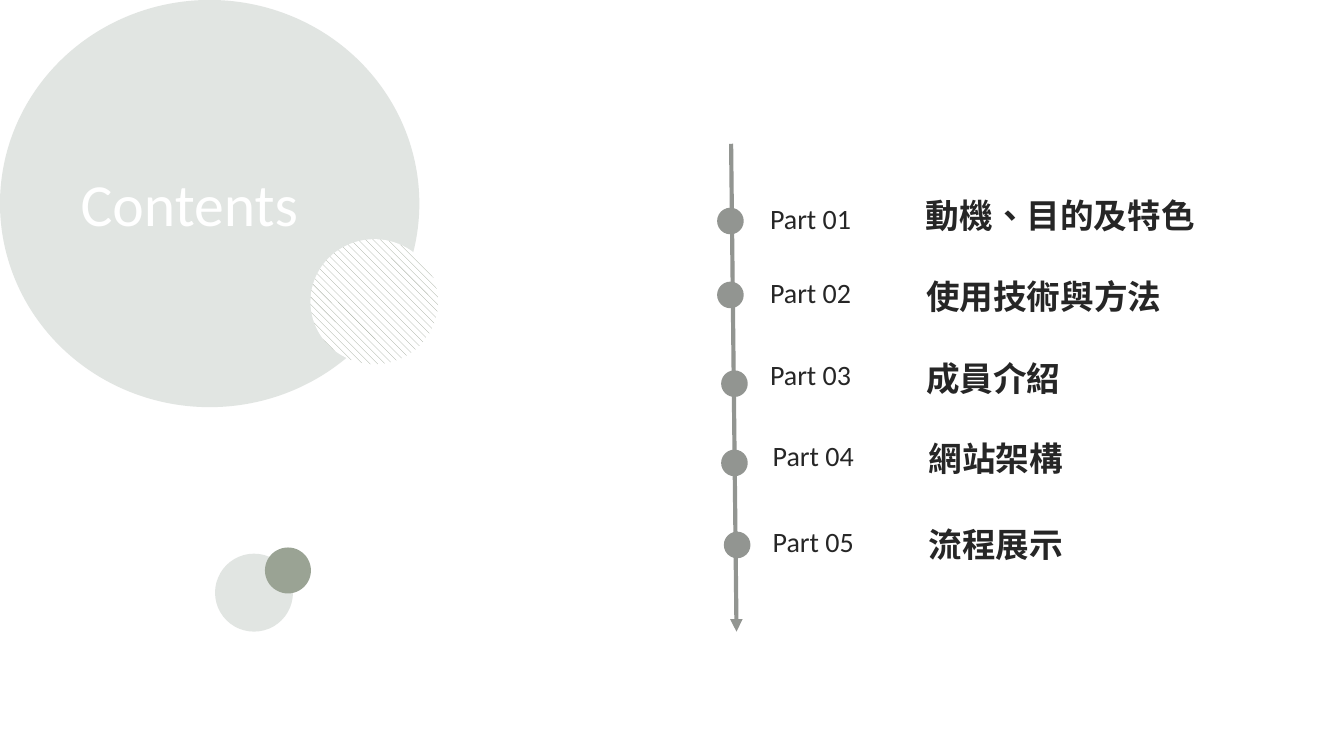
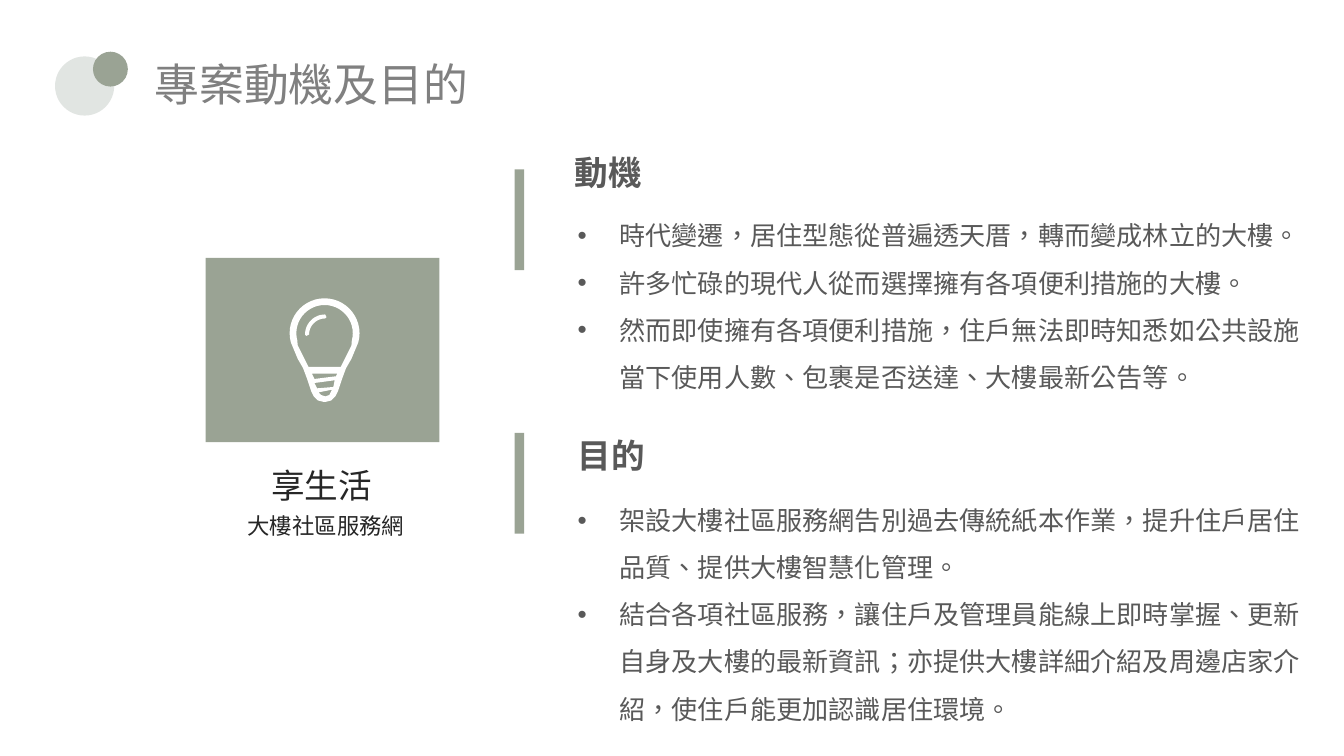
from math import cos, radians, sin

from lxml.etree import SubElement
from pptx import Presentation
from pptx.dml.color import RGBColor
from pptx.enum.dml import MSO_PATTERN
from pptx.enum.shapes import MSO_CONNECTOR, MSO_SHAPE
from pptx.enum.text import MSO_AUTO_SIZE, PP_ALIGN
from pptx.oxml.ns import qn
from pptx.util import Inches, Pt

SLIDE_WIDTH = 10
SLIDE_HEIGHT = SLIDE_WIDTH * 9 / 16
COLORS = {
    "paper": "FFFFFF", "mist": "E1E5E2", "sage": "9AA394", "timeline": "929591",
    "ink": "262626", "title": "808080", "body": "595959",
}
LATIN, CHINESE = "Calibri", "Noto Sans CJK SC"
LANGUAGE = "zh-TW"
TIGHT, ROOMY = (0.07, 0.04), (0.1, 0.05)

# label, label left, label width, label top, heading, heading width, heading top, dot left, dot top
PARTS = [
    ("Part 01", 5.66, 0.96, 1.46, "動機、目的及特色", 2.76, 1.41, 5.35, 1.56),
    ("Part 02", 5.66, 1.14, 2.01, "使用技術與方法", 2.45, 2.01, 5.35, 2.11),
    ("Part 03", 5.66, 1.07, 2.62, "成員介紹", 1.42, 2.62, 5.38, 2.77),
    ("Part 04", 5.68, 1.07, 3.22, "網站架構", 1.41, 3.22, 5.38, 3.36),
    ("Part 05", 5.68, 1.07, 3.86, "流程展示", 1.42, 3.86, 5.4, 3.97),
]
LABEL_TO_HEADING = 1.16
DOT = 0.17

# heading, heading box, bullets, bullet box, top of the bar
SECTIONS = [
    ("動機", (4.18, 1.08, 1.24, 0.4), [
        "時代變遷，居住型態從普遍透天厝，轉而變成林立的大樓。",
        "許多忙碌的現代人從而選擇擁有各項便利措施的大樓。",
        "然而即使擁有各項便利措施，住戶無法即時知悉如公共設施當下使用人數、包裹是否送達、大樓最新公告等。",
    ], (4.2, 1.47, 5.6, 1.51), 1.26),
    ("目的", (4.2, 3.19, 1.26, 0.4), [
        "架設大樓社區服務網告別過去傳統紙本作業，提升住戶居住品質、提供大樓智慧化管理。",
        "結合各項社區服務，讓住戶及管理員能線上即時掌握、更新自身及大樓的最新資訊；"
        "亦提供大樓詳細介紹及周邊店家介紹，使住戶能更加認識居住環境。",
    ], (4.2, 3.59, 5.6, 2.27), 3.22),
]

BULB_AXIS = 2.415
# right half of the bulb below its round head, as distance from the axis and height
BULB_NECK = [(0.2, 2.67), (0.16, 2.74), (0.13, 2.82), (0.1, 2.91), (0.08, 2.95),
             (0.05, 2.98), (0.01, 2.99)]
GLASS_NECK = [(0.2, 2.57), (0.15, 2.67), (0.12, 2.73)]
SCREW_GAPS = [
    [(2.32, 2.78), (2.51, 2.78), (2.5, 2.8), (2.34, 2.82)],
    [(2.34, 2.85), (2.49, 2.83), (2.48, 2.88), (2.36, 2.89)],
    [(2.37, 2.92), (2.47, 2.9), (2.45, 2.94), (2.42, 2.95), (2.39, 2.94)],
]


def color(name):
    return RGBColor.from_string(COLORS[name])


def inches(values):
    return [Inches(value) for value in values]


def add_text(slide, box, text, *, size, fill, font=CHINESE, bold=False, align=None,
             insets=ROOMY, wrap=True, bullets=False):
    """Add a text box; text is one string or a list with one string per paragraph."""
    frame = slide.shapes.add_textbox(*inches(box)).text_frame
    frame.word_wrap = wrap
    frame.auto_size = MSO_AUTO_SIZE.SHAPE_TO_FIT_TEXT
    frame.margin_left = frame.margin_right = Inches(insets[0])
    frame.margin_top = frame.margin_bottom = Inches(insets[1])
    lines = [text] if isinstance(text, str) else text
    for index, line in enumerate(lines):
        paragraph = frame.add_paragraph() if index else frame.paragraphs[0]
        paragraph.alignment = align
        if bullets:
            add_bullet(paragraph)
        run = paragraph.add_run()
        run.text = line
        run.font.size, run.font.bold, run.font.name = Pt(size), bold, font
        run.font.color.rgb = color(fill)
        run.font._element.set("lang", LANGUAGE)
        SubElement(run.font._element, qn("a:ea"), typeface=CHINESE)


def add_bullet(paragraph, indent=0.31):
    paragraph.line_spacing = 1.5
    properties = paragraph._p.get_or_add_pPr()
    properties.set("marL", str(Inches(indent)))
    properties.set("indent", str(-Inches(indent)))
    SubElement(properties, qn("a:buFont"), typeface="Arial")
    SubElement(properties, qn("a:buChar"), char="•")


def paint(shape, fill, line=None):
    shape.shadow.inherit = False
    shape.fill.solid()
    shape.fill.fore_color.rgb = color(fill)
    if line:
        shape.line.color.rgb = color(fill)
        shape.line.width = Pt(line)
    else:
        shape.line.fill.background()
    return shape


def add_shape(shapes, kind, box, fill, line=None):
    return paint(shapes.add_shape(kind, *inches(box)), fill, line)


def add_circle_pair(slide, left, top, size):
    """Add a pale circle with a small dark one over its upper right."""
    shapes = slide.shapes.add_group_shape().shapes
    add_shape(shapes, MSO_SHAPE.OVAL, (left, top, size, size), "mist")
    small = 0.59 * size
    add_shape(shapes, MSO_SHAPE.OVAL,
              (left + 0.64 * size, top - 0.08 * size, small, small), "sage")


def arc(center, radius, start, end, step=7.5):
    count = round((end - start) / step)
    angles = [radians(start + index * step) for index in range(count + 1)]
    return [(center[0] + radius * cos(angle), center[1] + radius * sin(angle))
            for angle in angles]


def mirrored(half):
    """Close a right half, given from the axis, with its reflection."""
    return ([(BULB_AXIS + x, y) for x, y in half]
            + [(BULB_AXIS - x, y) for x, y in reversed(half)])


def add_outline(shapes, contours, fill):
    builder = None
    for contour in contours:
        points = [inches(point) for point in contour]
        if builder is None:
            builder = shapes.build_freeform(*points[0], scale=1.0)
        else:
            builder.move_to(*points[0])
        builder.add_line_segments(points[1:], close=True)
    paint(builder.convert_to_shape(), fill)


def add_bulb(slide):
    shapes = slide.shapes.add_group_shape().shapes
    body = mirrored(arc((0, 2.48), 0.26, -90, 15) + BULB_NECK)
    glass = mirrored(arc((0, 2.48), 0.21, -90, 15) + GLASS_NECK)
    add_outline(shapes, [body, glass, *SCREW_GAPS], "paper")
    center = (2.42, 2.49)
    shine = arc(center, 0.15, 180, 270) + [(2.43, 2.36)]
    shine += arc(center, 0.12, 180, 270)[::-1] + [(2.28, 2.5)]
    add_outline(shapes, [shine], "paper")


def add_timeline(slide):
    """Add the arrow and its dots; the last dot stands outside the group."""
    shapes = slide.shapes.add_group_shape().shapes
    axis = shapes.add_connector(MSO_CONNECTOR.STRAIGHT, *inches((5.44, 1.07, 5.48, 4.7)))
    axis.line.color.rgb = color("timeline")
    axis.line.width = Pt(2.25)
    SubElement(axis.line._get_or_add_ln(), qn("a:tailEnd"), type="triangle")
    SubElement(axis._element.spPr, qn("a:effectLst"))
    for *_, left, top in PARTS:
        owner = slide.shapes if top == PARTS[-1][-1] else shapes
        add_shape(owner, MSO_SHAPE.OVAL, (left, top, DOT, DOT), "timeline", line=2)


def build_contents(slide):
    add_circle_pair(slide, 1.6, 4.12, 0.58)
    add_shape(slide.shapes, MSO_SHAPE.OVAL, (0, 0, 3.12, 3.03), "mist")
    add_text(slide, (0.53, 1.2, 2.1, 0.62), "Contents", size=32, fill="paper",
             font=LATIN, insets=TIGHT)
    for label, left, width, top, heading, heading_width, heading_top, *_ in PARTS:
        add_text(slide, (left, top, width, 0.33), label, size=15, fill="ink",
                 font=LATIN, insets=TIGHT)
        add_text(slide, (left + LABEL_TO_HEADING, heading_top, heading_width, 0.38),
                 heading, size=18, fill="ink", bold=True, align=PP_ALIGN.JUSTIFY,
                 insets=TIGHT)
    add_timeline(slide)
    hatched = add_shape(slide.shapes, MSO_SHAPE.OVAL, (2.31, 1.78, 0.95, 0.93), "paper")
    hatched.fill.patterned()
    hatched.fill.pattern = MSO_PATTERN.WIDE_DOWNWARD_DIAGONAL
    hatched.fill.fore_color.rgb = color("sage")
    hatched.fill.back_color.rgb = color("paper")


def build_motivation(slide):
    add_text(slide, (1.08, 0.38, 2.51, 0.48), "專案動機及目的", size=24, fill="title",
             insets=TIGHT, wrap=False)
    add_circle_pair(slide, 0.41, 0.42, 0.44)
    add_shape(slide.shapes, MSO_SHAPE.RECTANGLE, (1.53, 1.92, 1.74, 1.37), "sage")
    add_bulb(slide)
    add_text(slide, (1.92, 3.41, 0.96, 0.4), "享生活", size=18, fill="ink", wrap=False)
    add_text(slide, (1.39, 3.76, 2.07, 0.3), "大樓社區服務網", size=12, fill="ink",
             font=LATIN, align=PP_ALIGN.CENTER)
    for heading, heading_box, bullets, bullet_box, bar_top in SECTIONS:
        add_text(slide, bullet_box, bullets, size=14, fill="body", bullets=True)
        add_text(slide, heading_box, heading, size=18, fill="body", bold=True)
        add_shape(slide.shapes, MSO_SHAPE.RECTANGLE, (3.83, bar_top, 0.07, 0.75), "sage")


def main():
    presentation = Presentation()
    presentation.slide_width = Inches(SLIDE_WIDTH)
    presentation.slide_height = Inches(SLIDE_HEIGHT)
    for build in (build_contents, build_motivation):
        slide = presentation.slides.add_slide(presentation.slide_layouts[6])
        slide.background.fill.solid()
        slide.background.fill.fore_color.rgb = color("paper")
        build(slide)
    presentation.save("out.pptx")


if __name__ == "__main__":
    main()
